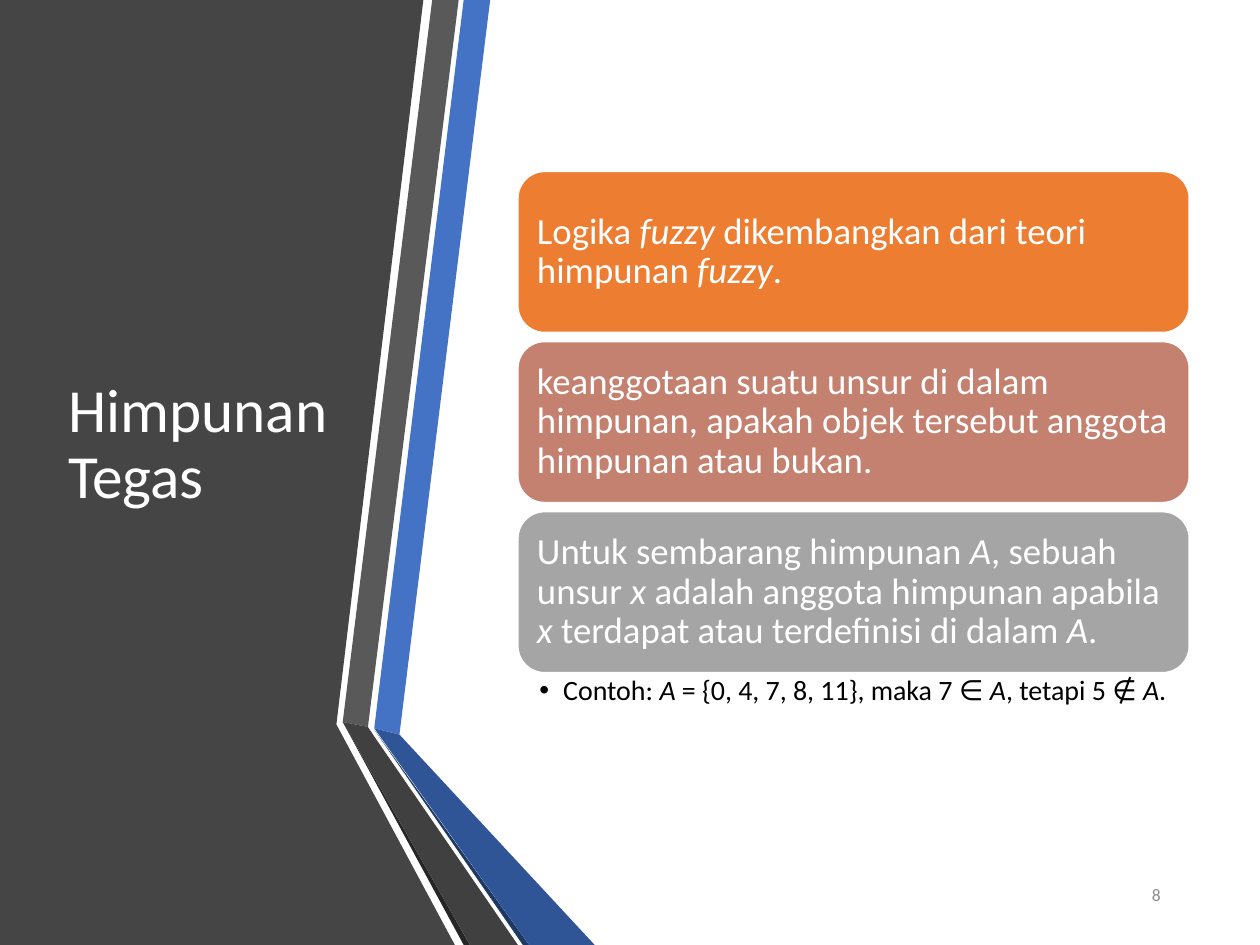
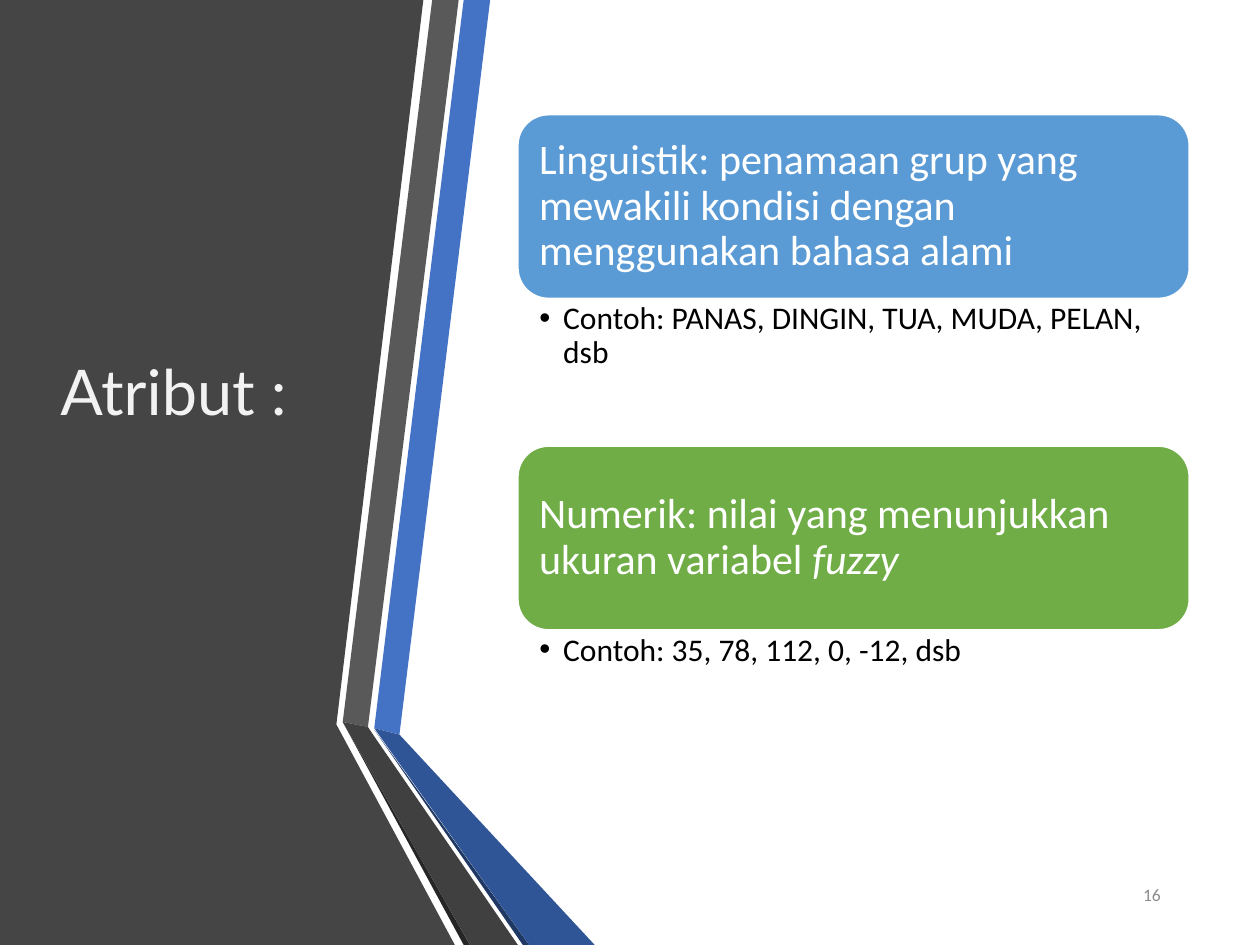
from pptx import Presentation
from pptx.dml.color import RGBColor
from pptx.enum.shapes import MSO_SHAPE
from pptx.enum.text import MSO_ANCHOR, MSO_AUTO_SIZE, PP_ALIGN
from pptx.util import Inches, Pt

WHITE = RGBColor(0xFF, 0xFF, 0xFF)
OFF_WHITE = RGBColor(0xF2, 0xF2, 0xF2)
BLACK = RGBColor(0x00, 0x00, 0x00)
NUMBER_GRAY = RGBColor(0x8C, 0x8C, 0x8C)
PANEL = RGBColor(0x45, 0x45, 0x45)
BLUE = RGBColor(0x44, 0x72, 0xC4)
DARK_BLUE = RGBColor(0x2F, 0x55, 0x97)
NAVY = RGBColor(0x20, 0x38, 0x64)
GRAY = RGBColor(0x59, 0x59, 0x59)
DARK_GRAY = RGBColor(0x40, 0x40, 0x40)
CHARCOAL = RGBColor(0x26, 0x26, 0x26)
ORANGE = RGBColor(0xED, 0x7D, 0x31)
CLAY = RGBColor(0xC4, 0x81, 0x70)
SILVER = RGBColor(0xA5, 0xA5, 0xA5)
SKY = RGBColor(0x5B, 0x9B, 0xD5)
GREEN = RGBColor(0x70, 0xAD, 0x47)

BANDS = [
    (PANEL, [(0, 0), (3.36, 0), (2.67, 5.75), (3.61, 7.5), (0, 7.5)]),
    (BLUE, [(2.97, 5.78), (3.17, 5.83), (3.89, 0), (3.68, 0)]),
    (GRAY, [(3.64, 0), (3.43, 0), (2.72, 5.73), (2.92, 5.77)]),
    (CHARCOAL, [(2.72, 5.73), (3.68, 7.5), (3.73, 7.5)]),
    (NAVY, [(2.97, 5.79), (4.15, 7.5), (4.2, 7.5)]),
    (DARK_BLUE, [(2.97, 5.78), (4.2, 7.5), (4.72, 7.5), (3.17, 5.83)]),
    (DARK_GRAY, [(4.11, 7.5), (2.96, 5.83), (2.92, 5.77), (2.72, 5.73), (3.73, 7.5)]),
]
CARD_LEFT, CARD_WIDTH = 4.11, 5.33

SLIDES = [
    {
        "layout": 1,
        "number": "8",
        "title": ("Himpunan Tegas", (0.44, 0.75, 2.28, 5.58), MSO_ANCHOR.MIDDLE, 0.9,
                  {"size": Pt(35), "name": "Calibri", "color": WHITE}),
        "top": 1.36, "pitch": 1.35, "card_height": 1.28, "card_size": 21, "inset": 0.09,
        "note_height": 0.38, "note_size": 16, "note_right": 0.16,
        "cards": [
            (ORANGE, "Logika *fuzzy* dikembangkan dari teori himpunan *fuzzy*.", None),
            (CLAY, "keanggotaan suatu unsur di dalam himpunan, apakah objek tersebut "
                   "anggota himpunan atau bukan.", None),
            (SILVER, "Untuk sembarang himpunan *A*, sebuah unsur *x* adalah anggota "
                     "himpunan apabila *x* terdapat atau terdefinisi di dalam *A*.",
             "Contoh: *A* = {0, 4, 7, 8, 11}, maka 7 ∈ *A*, tetapi 5 ∉ *A*."),
        ],
    },
    {
        "layout": 3,
        "number": "16",
        "title": ("Atribut :", (0.38, 2.75, 2.11, 1.31), MSO_ANCHOR.TOP, 1.0,
                  {"size": Pt(36), "name": "Lato", "color": OFF_WHITE}),
        "top": 0.91, "pitch": 2.63, "card_height": 1.46, "card_size": 24, "inset": 0.1,
        "note_height": 1.18, "note_size": 18, "note_right": 0.14,
        "cards": [
            (SKY, "Linguistik: penamaan grup yang mewakili kondisi dengan "
                  "menggunakan bahasa alami",
             "Contoh: PANAS, DINGIN, TUA, MUDA, PELAN, dsb"),
            (GREEN, "Numerik: nilai yang menunjukkan ukuran variabel *fuzzy*",
             "Contoh: 35, 78, 112, 0, -12, dsb"),
        ],
    },
]


def place(shape, left, top, width, height):
    box = {"left": left, "top": top, "width": width, "height": height}
    for side, length in box.items():
        setattr(shape, side, Inches(length))


def write(shape, text, font, frame_format, paragraph_format):
    frame = shape.text_frame
    for key, value in {"word_wrap": True, "auto_size": MSO_AUTO_SIZE.NONE, **frame_format}.items():
        setattr(frame, key, value)
    paragraph = frame.paragraphs[0]
    for key, value in {"space_before": Pt(0), "alignment": PP_ALIGN.LEFT, **paragraph_format}.items():
        setattr(paragraph, key, value)
    for position, part in enumerate(text.split("*")):
        if part:
            run = paragraph.add_run()
            run.text = part
            run.font.italic = position % 2 == 1
            run.font.color.rgb = font["color"]
            for key in ("size", "name"):
                setattr(run.font, key, font[key])
    return paragraph


deck = Presentation()
deck.slide_width, deck.slide_height = Inches(10), Inches(7.5)

for content in SLIDES:
    slide = deck.slides.add_slide(deck.slide_layouts[content["layout"]])
    shapes = slide.shapes
    heading = shapes.title
    notes = [holder for holder in slide.placeholders if holder.placeholder_format.idx > 0]

    for color, corners in BANDS:
        points = [(Inches(x), Inches(y)) for x, y in corners]
        outline = shapes.build_freeform(*points[0])
        outline.add_line_segments(points[1:], close=True)
        band = outline.convert_to_shape()
        band.shadow.inherit = False
        band.fill.solid()
        band.fill.fore_color.rgb = color
        band.line.fill.background()

    text, box, anchor, spacing, font = content["title"]
    shapes._spTree.append(heading._element)
    place(heading, *box)
    write(heading, text, font, {"vertical_anchor": anchor}, {"line_spacing": spacing})

    page_number = shapes.add_textbox(Inches(8.42), Inches(6.9), Inches(0.89), Inches(0.4))
    write(page_number, content["number"],
          {"size": Pt(10), "name": "Calibri", "color": NUMBER_GRAY},
          {"vertical_anchor": MSO_ANCHOR.MIDDLE}, {"alignment": PP_ALIGN.RIGHT})

    for index, (color, statement, example) in enumerate(content["cards"]):
        top = content["top"] + index * content["pitch"]
        height = content["card_height"]
        card = shapes.add_shape(MSO_SHAPE.ROUNDED_RECTANGLE, Inches(CARD_LEFT), Inches(top),
                                Inches(CARD_WIDTH), Inches(height))
        card.shadow.inherit = False
        card.fill.solid()
        card.fill.fore_color.rgb = color
        card.line.color.rgb = WHITE
        card.line.width = Pt(1)
        inset = Inches(content["inset"])
        write(card, statement,
              {"size": Pt(content["card_size"]), "name": "Calibri", "color": WHITE},
              {"vertical_anchor": MSO_ANCHOR.MIDDLE, "margin_left": inset,
               "margin_right": Inches(0.08), "margin_top": inset, "margin_bottom": inset},
              {"line_spacing": 0.9})

        if example:
            note = notes.pop(0)
            shapes._spTree.append(note._element)
            place(note, CARD_LEFT, top + height, CARD_WIDTH, content["note_height"])
            bullet = write(note, example,
                           {"size": Pt(content["note_size"]), "name": "Calibri", "color": BLACK},
                           {"vertical_anchor": MSO_ANCHOR.TOP, "margin_left": Inches(0.17),
                            "margin_right": Inches(content["note_right"]),
                            "margin_top": Inches(0.03), "margin_bottom": Inches(0.03)},
                           {"line_spacing": 0.9})
            properties = bullet._p.get_or_add_pPr()
            properties.set("marL", str(Inches(0.19)))
            properties.set("indent", str(Inches(-0.19)))

deck.save("out.pptx")
